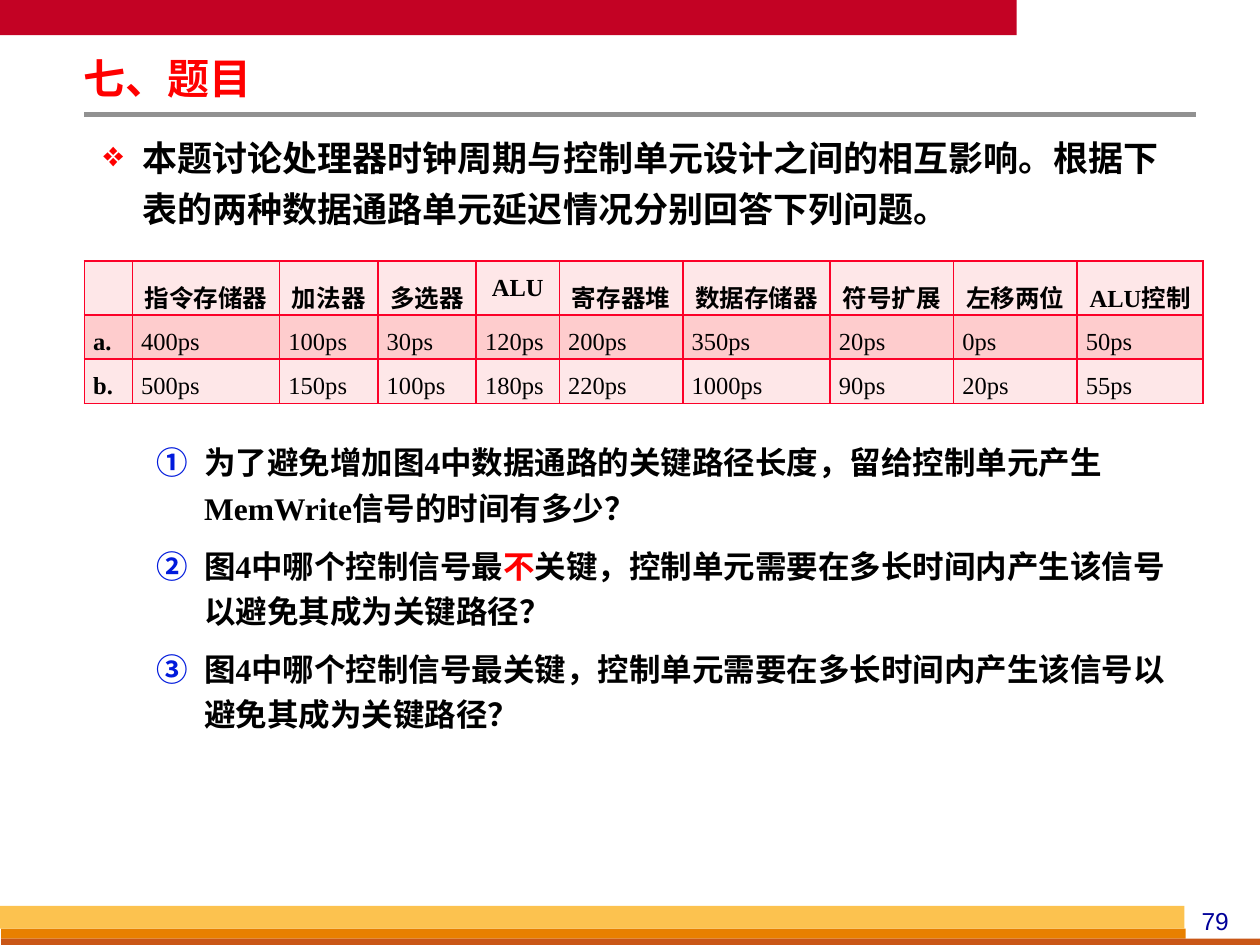
from lxml import etree
from pptx import Presentation
from pptx import util as u
from pptx.dml.color import RGBColor
from pptx.enum import shapes, text
from pptx.oxml import ns

COLORS = {
    "banner": "C30224", "rule": "919191", "gold": "FCC24F", "orange": "E88000",
    "rust": "C95616", "red": "FF0000", "black": "000000", "number": "001ADC",
    "page": "000099", "border": "FC0128", "light": "FEE7E8", "dark": "FECCCD",
}
SERIF = "Times New Roman"
CENTER, JUSTIFY = text.PP_ALIGN.CENTER, text.PP_ALIGN.JUSTIFY

DELAYS = [
    ["", "指令存储器", "加法器", "多选器", "ALU", "寄存器堆", "数据存储器",
     "符号扩展", "左移两位", "ALU控制"],
    ["a.", "400ps", "100ps", "30ps", "120ps", "200ps", "350ps", "20ps", "0ps", "50ps"],
    ["b.", "500ps", "150ps", "100ps", "180ps", "220ps", "1000ps", "90ps", "20ps", "55ps"],
]
COLUMN_WIDTHS = [0.38, 1.17, 0.78, 0.78, 0.66, 0.98, 1.17, 0.98, 0.98, 1]
ROW_HEIGHTS = [0.43, 0.35, 0.35]
INTRO = "本题讨论处理器时钟周期与控制单元设计之间的相互影响。根据下表的两种数据通路单元延迟情况分别回答下列问题。"
# Each question is a list of (wording, colour) pieces
QUESTIONS = [
    [("为了避免增加图4中数据通路的关键路径长度，留给控制单元产生MemWrite信号的时间有多少？", "black")],
    [("图4中哪个控制信号最", "black"), ("不", "red"),
     ("关键，控制单元需要在多长时间内产生该信号以避免其成为关键路径？", "black")],
    [("图4中哪个控制信号最关键，控制单元需要在多长时间内产生该信号以避免其成为关键路径？", "black")],
]


def rgb(name):
    return RGBColor.from_string(COLORS[name])


def add_node(parent, tag, **attributes):
    return etree.SubElement(parent, ns.qn(tag), attributes)


def add_color(parent, name):
    add_node(parent, "a:srgbClr", val=COLORS[name])


def add_run(paragraph, wording, size, color, bold=True, font=SERIF):
    run = paragraph.add_run()
    run.text = wording
    run.font.size, run.font.bold, run.font.name = u.Pt(size), bold, font
    run.font.color.rgb = rgb(color)


def add_text_frame(slide, box, inset_x=0.07, inset_y=0.03):
    frame = slide.shapes.add_textbox(*map(u.Inches, box)).text_frame
    frame.word_wrap = True
    frame.margin_left = frame.margin_right = u.Inches(inset_x)
    frame.margin_top = frame.margin_bottom = u.Inches(inset_y)
    return frame


def add_bar(slide, box, color):
    bar = slide.shapes.add_shape(shapes.MSO_SHAPE.RECTANGLE, *map(u.Inches, box))
    bar.shadow.inherit = False
    bar.fill.solid()
    bar.fill.fore_color.rgb = rgb(color)
    bar.line.fill.background()


def add_bulleted(paragraph, pieces, size, margin, hanging, bullet_color, tag, **bullet):
    paragraph.line_spacing = 1.2
    paragraph.space_before = paragraph.space_after = u.Pt(size * 0.2)
    for wording, color in pieces:
        add_run(paragraph, wording, size, color)
    properties = paragraph._p.get_or_add_pPr()
    properties.set("marL", str(u.Inches(margin)))
    properties.set("indent", str(-u.Inches(hanging)))
    add_color(add_node(properties, "a:buClr"), bullet_color)
    add_node(properties, tag, **bullet)


# Banner, rule and title
def add_header(slide, left, top):
    add_bar(slide, (left, top, 8.07, 0.28), "banner")
    rule = slide.shapes.add_connector(
        shapes.MSO_CONNECTOR.STRAIGHT, u.Inches(left + 0.67), u.Inches(top + 0.91),
        u.Inches(left + 9.49), u.Inches(top + 0.91))
    rule.line.color.rgb = rgb("rule")
    rule.line.width = u.Pt(3)
    add_node(rule._element.spPr, "a:effectLst")
    title = add_text_frame(slide, (left + 0.59, top + 0.44, 5.75, 0.41)).paragraphs[0]
    title.line_spacing = 0.87
    add_run(title, "七、题目", 24, "red")


# Coloured stripes and page number
def add_footer(slide, left, top):
    add_bar(slide, (left + 0.01, top + 0.18, 9.4, 0.08), "orange")
    add_bar(slide, (left + 0.01, top + 0.26, 9.99, 0.05), "rust")
    add_bar(slide, (left, top, 9.4, 0.18), "gold")
    page = add_text_frame(slide, (left + 9.33, top - 0.05, 0.63, 0.33), 0.1, 0.05)
    page.paragraphs[0].alignment = CENTER
    add_run(page.paragraphs[0], "79", 14, "page", bold=False, font="Arial")


def add_intro(slide, box):
    frame = add_text_frame(slide, box)
    add_bulleted(frame.paragraphs[0], [(INTRO, "black")], 20, 0.31, 0.31,
                 "red", "a:buChar", char="❖")


def add_questions(slide, box):
    frame = add_text_frame(slide, box)
    for index, pieces in enumerate(QUESTIONS):
        paragraph = frame.add_paragraph() if index else frame.paragraphs[0]
        add_bulleted(paragraph, pieces, 18, 0.8, 0.38,
                     "number", "a:buAutoNum", type="circleNumDbPlain")


def style_cell(cell, fill):
    cell.margin_left = cell.margin_right = u.Inches(0.07)
    cell.margin_top = cell.margin_bottom = 0
    properties = cell._tc.get_or_add_tcPr()
    for side in ("a:lnL", "a:lnR", "a:lnT", "a:lnB"):
        border = add_node(properties, side, w=str(u.Pt(1)))
        add_color(add_node(border, "a:solidFill"), "border")
    cell.fill.solid()
    cell.fill.fore_color.rgb = rgb(fill)


# Delay of each datapath unit
def add_delay_table(slide, left, top):
    table = slide.shapes.add_table(
        len(DELAYS), len(COLUMN_WIDTHS), u.Inches(left), u.Inches(top),
        u.Inches(sum(COLUMN_WIDTHS)), u.Inches(sum(ROW_HEIGHTS))).table
    for column, width in zip(table.columns, COLUMN_WIDTHS):
        column.width = u.Inches(width)
    for row, height in zip(table.rows, ROW_HEIGHTS):
        row.height = u.Inches(height)
    for r, values in enumerate(DELAYS):
        for c, value in enumerate(values):
            cell = table.cell(r, c)
            style_cell(cell, "dark" if r == 1 else "light")
            if value:
                paragraph = cell.text_frame.paragraphs[0]
                paragraph.alignment = JUSTIFY if r else CENTER
                paragraph.line_spacing = 1.5
                add_run(paragraph, value, 14, "black", bold=r == 0 or c == 0)


def main():
    deck = Presentation()
    deck.slide_width, deck.slide_height = u.Inches(10), u.Inches(7.5)
    slide = deck.slides.add_slide(deck.slide_layouts[6])
    add_header(slide, 0, 0)
    add_footer(slide, 0, 7.19)
    add_intro(slide, (0.75, 0.99, 8.58, 0.95))
    add_questions(slide, (0.75, 3.43, 8.58, 2.6))
    add_delay_table(slide, 0.67, 2.07)
    deck.save("out.pptx")


if __name__ == "__main__":
    main()
